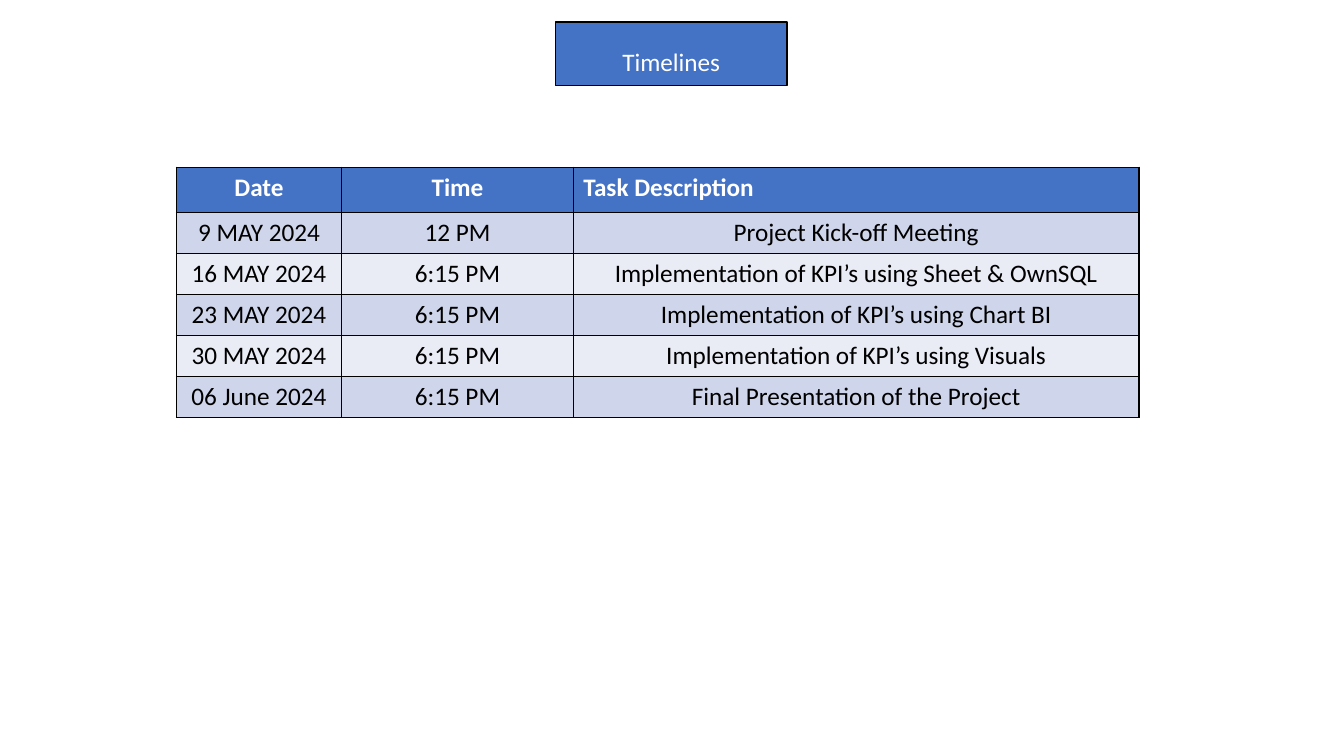
from dataclasses import dataclass

from lxml import etree
from pptx import Presentation
from pptx.dml.color import RGBColor
from pptx.enum import shapes, text
from pptx.oxml import ns
from pptx.util import Pt

FONT = "Calibri"
SIZE = 18
BLUE = "4472C4"
WHITE = "FFFFFF"
BLACK = "000000"
BANDS = ("CFD5EA", "E9EBF5")
WIDTHS = (118, 165.6, 404)
HEAD = 32.4
ROW = 29.3
MID = text.PP_ALIGN.CENTER
LEFT = text.PP_ALIGN.LEFT


@dataclass
class Task:
    date: str
    time: str
    title: str


@dataclass
class Style:
    fill: str
    ink: str
    bold: bool = False


TASKS = [
    Task("Date", "Time", "Task Description"),
    Task("9 MAY 2024", "12 PM", "Project Kick-off Meeting"),
    Task("16 MAY 2024", "6:15 PM", "Implementation of KPI’s using Sheet & OwnSQL"),
    Task("23 MAY 2024", "6:15 PM", "Implementation of KPI’s using Chart BI"),
    Task("30 MAY 2024", "6:15 PM", "Implementation of KPI’s using Visuals"),
    Task("06 June 2024", "6:15 PM", "Final Presentation of the Project"),
]


def paint(form, color: str) -> None:
    form.solid()
    form.fore_color.rgb = RGBColor.from_string(color)


def write(frame, words: str, style: Style, align=MID) -> None:
    frame.text = words
    para = frame.paragraphs[0]
    para.alignment = align
    font = para.runs[0].font
    font.name = FONT
    font.size = Pt(SIZE)
    font.bold = style.bold
    paint(font.fill, style.ink)


def frame_cell(cell) -> None:
    props = cell._tc.get_or_add_tcPr()
    for spot, side in enumerate(("lnL", "lnR", "lnT", "lnB")):
        line = etree.Element(ns.qn(f"a:{side}"), w=str(Pt(1)))
        fill = etree.SubElement(line, ns.qn("a:solidFill"))
        etree.SubElement(fill, ns.qn("a:srgbClr"), val=BLACK)
        props.insert(spot, line)


def draw_title(slide) -> None:
    box = slide.shapes.add_shape(
        shapes.MSO_SHAPE.RECTANGLE, Pt(396.7), Pt(15.8), Pt(165.6), Pt(45.4)
    )
    box.shadow.inherit = False
    paint(box.fill, BLUE)
    paint(box.line.fill, BLACK)
    box.line.width = Pt(1)
    write(box.text_frame, "Timelines", Style(BLUE, WHITE))
    box.text_frame.paragraphs[0].line_spacing = 1.5


def draw_table(slide, tasks: list[Task]) -> None:
    high = HEAD + ROW * (len(tasks) - 1)
    table = slide.shapes.add_table(
        len(tasks), len(WIDTHS), Pt(126), Pt(119.5), Pt(sum(WIDTHS)), Pt(high)
    ).table
    for col, width in zip(table.columns, WIDTHS):
        col.width = Pt(width)
    for row, task in enumerate(tasks):
        head = row == 0
        table.rows[row].height = Pt(HEAD if head else ROW)
        style = Style(BLUE, WHITE, True) if head else Style(BANDS[(row - 1) % 2], BLACK)
        for col, words in enumerate((task.date, task.time, task.title)):
            cell = table.cell(row, col)
            paint(cell.fill, style.fill)
            frame_cell(cell)
            write(cell.text_frame, words, style, LEFT if head and col == 2 else MID)


def main() -> None:
    deck = Presentation()
    deck.slide_width = Pt(960)
    deck.slide_height = Pt(540)
    slide = deck.slides.add_slide(deck.slide_layouts[6])
    draw_table(slide, TASKS)
    draw_title(slide)
    deck.save("out.pptx")


if __name__ == "__main__":
    main()
